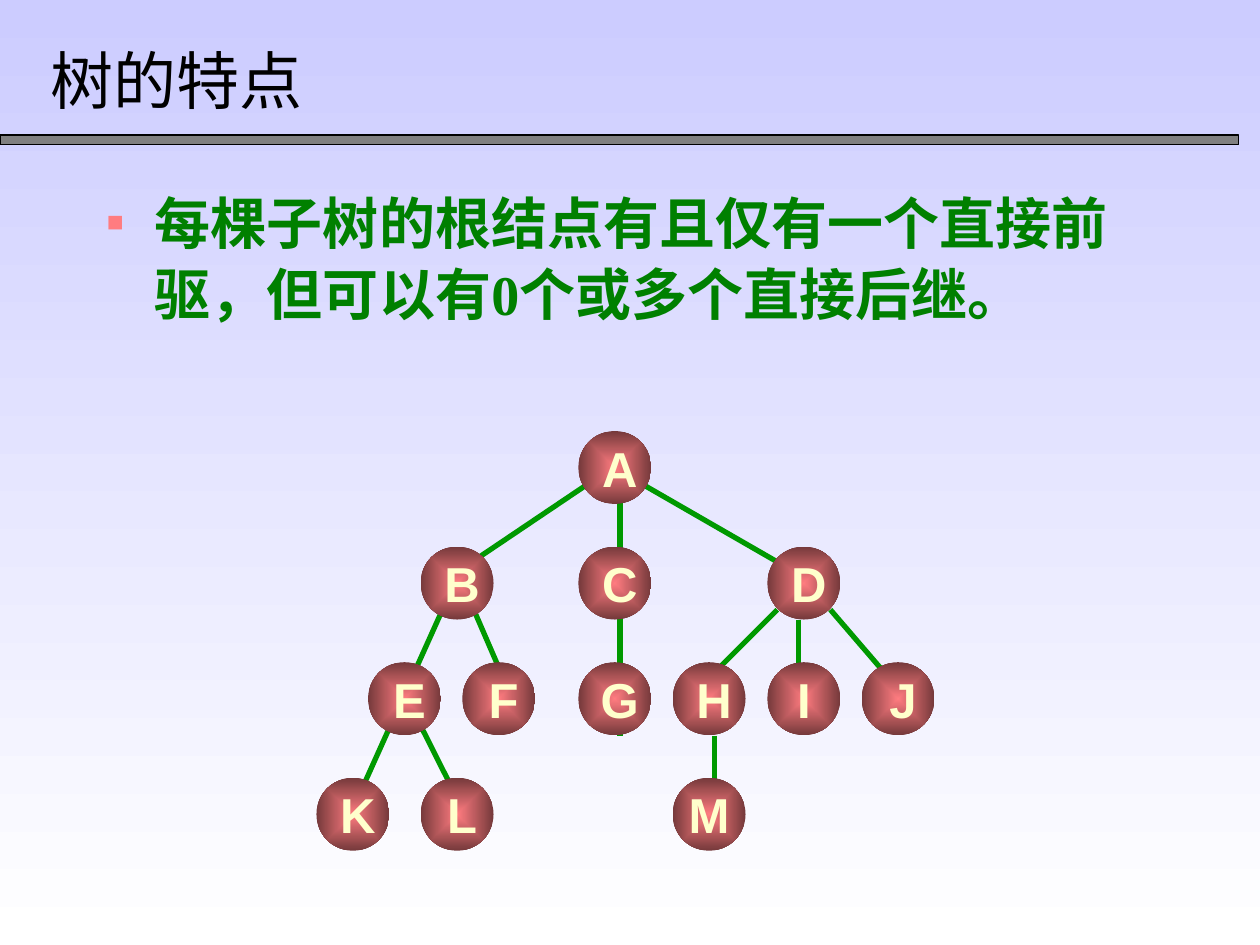
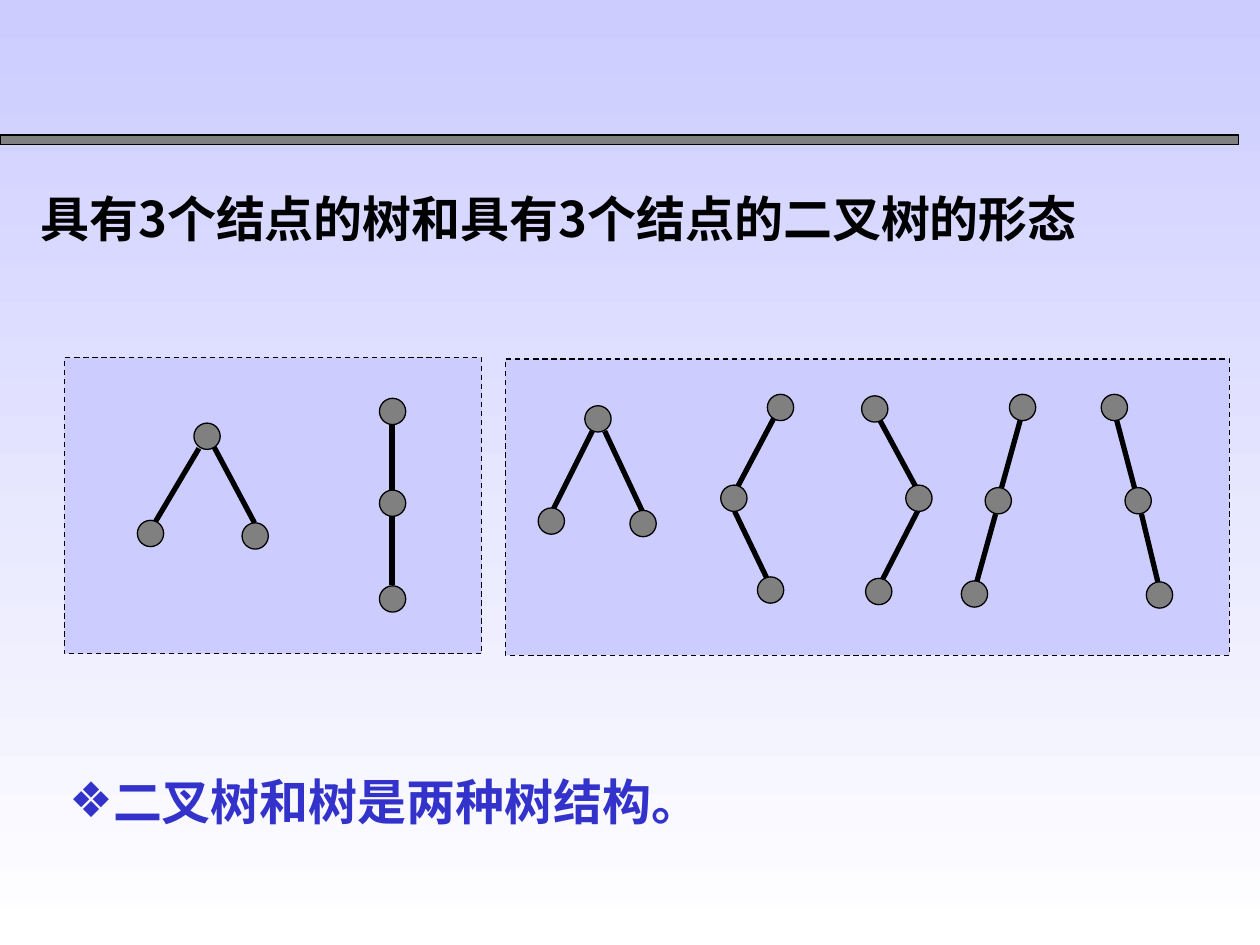
from lxml import etree
from pptx import Presentation
from pptx.dml.color import RGBColor
from pptx.enum.dml import MSO_LINE_DASH_STYLE as Dash
from pptx.enum.shapes import MSO_CONNECTOR as Connector, MSO_SHAPE as Shape
from pptx.enum.text import MSO_ANCHOR as Anchor, MSO_AUTO_SIZE as AutoSize, PP_ALIGN as Align
from pptx.oxml.ns import qn
from pptx.util import Cm, Pt

COLORS = {name: RGBColor.from_string(value) for name, value in {
    "black": "000000", "white": "FFFFFF", "gray": "808080", "lavender": "CCCCFF",
    "coral": "FF7C80", "maroon": "75393B", "cream": "FFFFCC",
    "text_green": "008000", "edge_green": "009900", "blue": "3333CC",
}.items()}
SERIF, SANS, CJK = "Times New Roman", "Arial", "Noto Sans CJK SC"


def add_run(para, text, size, font, color, bold):
    run = para.add_run()
    run.text = text
    run.font.size, run.font.name, run.font.bold = Pt(size), font, bold
    run.font.color.rgb = COLORS[color]
    latin = run.font._element.find(qn("a:latin"))
    east_asian = etree.Element(qn("a:ea"), typeface=CJK)
    latin.addnext(east_asian)


def add_edge(shapes, ends, color):
    edge = shapes.add_connector(Connector.STRAIGHT, *[Cm(value) for value in ends])
    edge.line.color.rgb = COLORS[color]
    edge.line.width = Pt(3)
    etree.SubElement(edge.element.spPr, qn("a:effectLst"))


deck = Presentation()
deck.slide_width, deck.slide_height = Cm(25.4), Cm(19.05)

# Shared background
master = deck.slide_master
backdrop = master.background.fill
backdrop.gradient()
backdrop.gradient_angle = 270
for stop, color in zip(backdrop.gradient_stops, ("lavender", "white")):
    stop.color.rgb = COLORS[color]

# Titles and lists of both slides
page_texts = [
    {
        "title": "树的特点", "title_box": (0.76, 0.64, 21.59, 1.9),
        "title_style": (36, SERIF, "black", False),
        "body": "每棵子树的根结点有且仅有一个直接前驱，但可以有0个或多个直接后继。",
        "body_box": (1.9, 3.61, 21.59, 3.61),
        "body_style": (32, SERIF, "text_green", True),
        "bullet": ("■", "coral", 50), "hanging": 0.97, "spacing": 1.05, "align": Align.LEFT,
    },
    {
        "title": "具有3个结点的树和具有3个结点的二叉树的形态", "title_box": (0.56, 3.66, 23.5, 1.45),
        "title_style": (28, CJK, "black", True),
        "body": "二叉树和树是两种树结构。",
        "body_box": (1.14, 15.42, 19.66, 1.45),
        "body_style": (28, SERIF, "blue", True),
        "bullet": ("❖", "blue", 100), "hanging": 0, "spacing": 1.0, "align": Align.JUSTIFY,
    },
]
pages = []
for texts in page_texts:
    page = deck.slides.add_slide(deck.slide_layouts[1])
    pages.append(page)
    for part, anchor in (("title", Anchor.MIDDLE), ("body", Anchor.TOP)):
        box = page.shapes.title if part == "title" else page.placeholders[1]
        box.left, box.top, box.width, box.height = [Cm(value) for value in texts[part + "_box"]]
        frame = box.text_frame
        frame.word_wrap = True
        frame.auto_size = AutoSize.NONE
        frame.vertical_anchor = anchor
        para = frame.paragraphs[0]
        if part == "body":
            symbol, color, percent = texts["bullet"]
            props = para._p.get_or_add_pPr()
            props.set("marL", str(Cm(texts["hanging"])))
            props.set("indent", str(-Cm(texts["hanging"])))
            bullet_color = etree.SubElement(props, qn("a:buClr"))
            etree.SubElement(bullet_color, qn("a:srgbClr"), val=str(COLORS[color]))
            etree.SubElement(props, qn("a:buSzPct"), val=str(percent * 1000))
            etree.SubElement(props, qn("a:buChar"), char=symbol)
            para.line_spacing = texts["spacing"]
        para.space_before = Pt(0)
        para.alignment = texts["align"] if part == "body" else Align.LEFT
        add_run(para, texts[part], *texts[part + "_style"])

tree_page, forms_page = pages

# Shared band, moved to the slide master
band = tree_page.shapes.add_shape(Shape.RECTANGLE, Cm(0), Cm(2.72), Cm(24.97), Cm(0.2))
band.shadow.inherit = False
band.fill.solid()
band.fill.fore_color.rgb = COLORS["gray"]
band.line.color.rgb = COLORS["black"]
band.line.width = Pt(0.75)
master.shapes.element.append(band.element)

# Slide 1: tree edges, behind the nodes
tree_edges = [
    (16.74, 12.29, 18.01, 13.77), (15.67, 12.29, 14.4, 13.56), (16.1, 12.5, 16.1, 13.56),
    (14.4, 14.83, 14.4, 16.1), (12.93, 9.75, 15.9, 11.46), (11.86, 9.75, 9.32, 11.46),
    (12.5, 9.96, 12.5, 14.83), (9.55, 12.29, 10.19, 13.77), (8.48, 14.63, 9.12, 15.9),
    (8.92, 12.29, 7.01, 16.54),
]
for ends in tree_edges:
    add_edge(tree_page.shapes, ends, "edge_green")

# Slide 1: lettered nodes, one dict per level
levels = [
    {"A": 11.66},
    {"B": 8.48, "C": 11.66, "D": 15.47},
    {"E": 7.42, "F": 9.32, "G": 11.66, "H": 13.56, "I": 15.47, "J": 17.37},
    {"K": 6.38, "L": 8.48, "M": 13.56},
]
for depth, level in enumerate(levels):
    for letter, left in level.items():
        node = tree_page.shapes.add_shape(
            Shape.OVAL, Cm(left), Cm(8.69 + 2.33 * depth), Cm(1.47), Cm(1.47))
        node.shadow.inherit = False
        node.line.fill.background()
        node.fill.gradient()
        for stop, color in zip(node.fill.gradient_stops, ("coral", "maroon")):
            stop.color.rgb = COLORS[color]
        gradient = node.element.spPr.find(qn("a:gradFill"))
        gradient.remove(gradient.find(qn("a:lin")))
        glow = etree.SubElement(gradient, qn("a:path"), path="rect")
        etree.SubElement(glow, qn("a:fillToRect"), l="50000", t="50000", r="50000", b="50000")
        frame = node.text_frame
        frame.word_wrap = False
        frame.vertical_anchor = Anchor.MIDDLE
        frame.margin_left = Cm(0 if letter in "IM" else 0.2)
        frame.margin_right = frame.margin_top = frame.margin_bottom = Cm(0)
        para = frame.paragraphs[0]
        para.alignment = Align.CENTER
        add_run(para, letter, 28, SANS, "cream", True)

# Slide 2: dashed panels
for panel_box in ((1.3, 7.21, 8.41, 5.97), (10.19, 7.24, 14.6, 5.97)):
    panel = forms_page.shapes.add_shape(Shape.RECTANGLE, *[Cm(value) for value in panel_box])
    panel.shadow.inherit = False
    panel.fill.solid()
    panel.fill.fore_color.rgb = COLORS["lavender"]
    panel.line.color.rgb = COLORS["black"]
    panel.line.width = Pt(0.75)
    panel.line.dash_style = Dash.DASH

# Slide 2: three-node forms, each with node corners and edge ends
forms = [
    ([(3.91, 8.53), (2.77, 10.49), (4.88, 10.54)],
     [(4.01, 9.04, 3.12, 10.54), (4.32, 9.02, 5.13, 10.54)]),
    ([(7.65, 8.03), (7.65, 9.88), (7.65, 11.81)],
     [(7.9, 8.56, 7.9, 9.93), (7.9, 10.39, 7.9, 11.79)]),
    ([(11.79, 8.18), (10.85, 10.24), (12.7, 10.29)],
     [(11.94, 8.69, 11.13, 10.31), (12.19, 8.69, 12.95, 10.31)]),
    ([(15.47, 7.95), (14.53, 9.78), (15.27, 11.63)],
     [(15.6, 8.43, 14.86, 9.83), (14.81, 10.31, 15.47, 11.68)]),
    ([(17.37, 7.98), (18.26, 9.78), (17.45, 11.66)],
     [(17.73, 8.46, 18.47, 9.83), (18.52, 10.26, 17.75, 11.76)]),
    ([(20.35, 7.95), (19.86, 9.83), (19.38, 11.71)],
     [(20.57, 8.46, 20.19, 9.83), (20.07, 10.36, 19.69, 11.73)]),
    ([(22.2, 7.95), (22.68, 9.83), (23.11, 11.73)],
     [(22.5, 8.43, 22.89, 9.91), (23.01, 10.36, 23.34, 11.73)]),
]
for corners, edges in forms:
    form = forms_page.shapes.add_group_shape()
    for ends in edges:
        add_edge(form.shapes, ends, "black")
    for left, top in corners:
        node = form.shapes.add_shape(Shape.OVAL, Cm(left), Cm(top), Cm(0.53), Cm(0.53))
        node.shadow.inherit = False
        node.fill.solid()
        node.fill.fore_color.rgb = COLORS["gray"]
        node.line.color.rgb = COLORS["black"]
        node.line.width = Pt(0.75)

deck.save("out.pptx")
